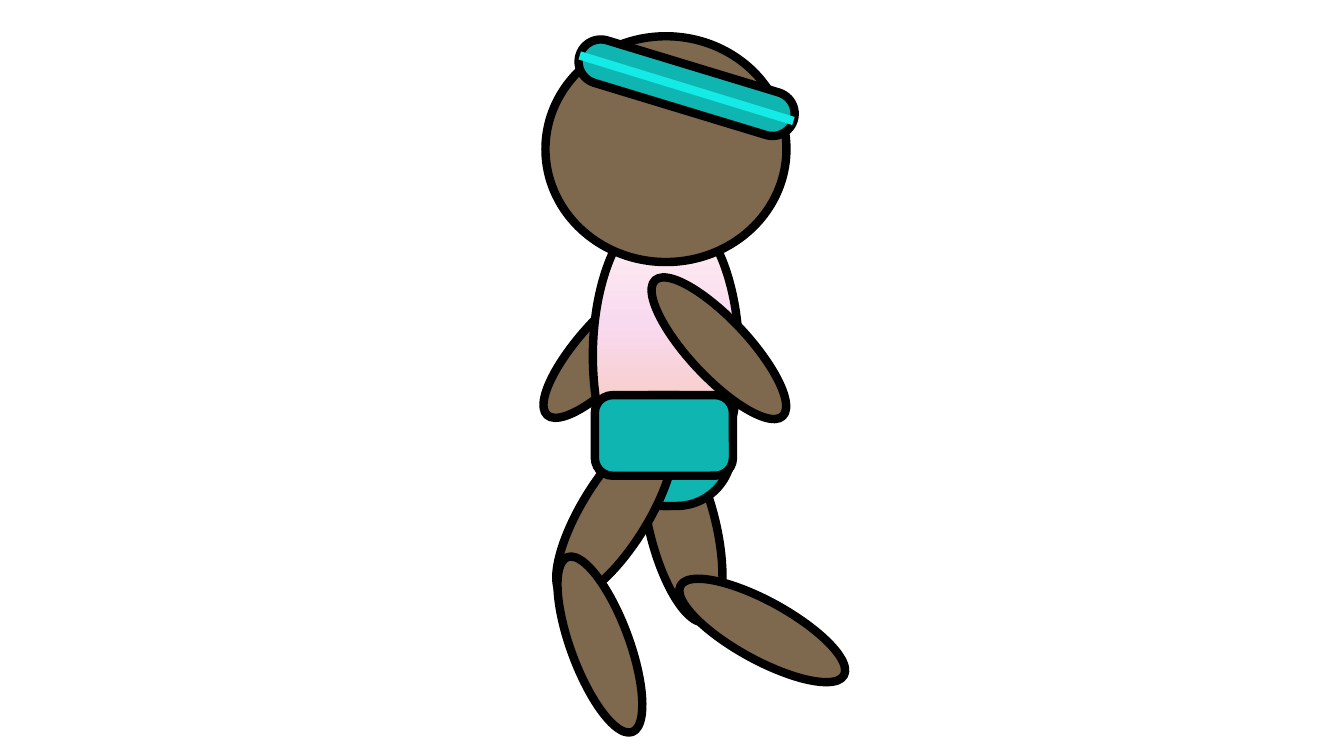
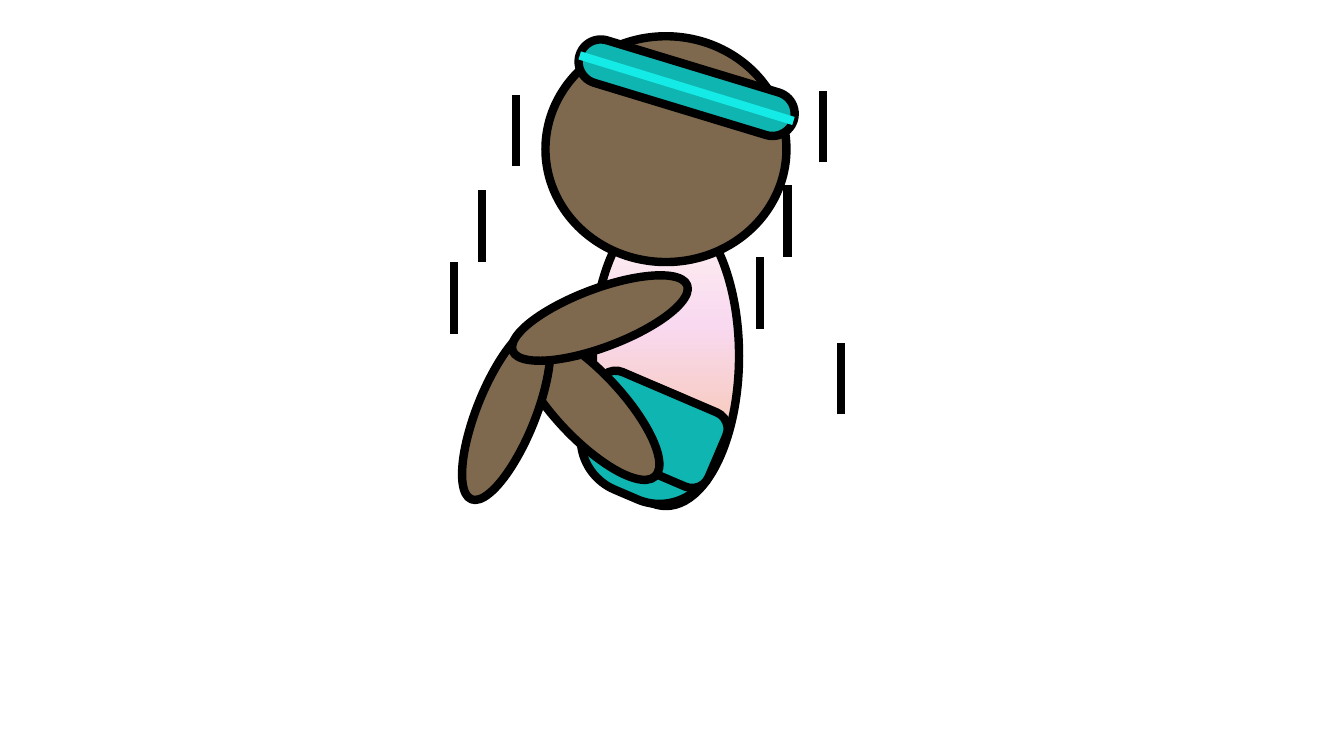
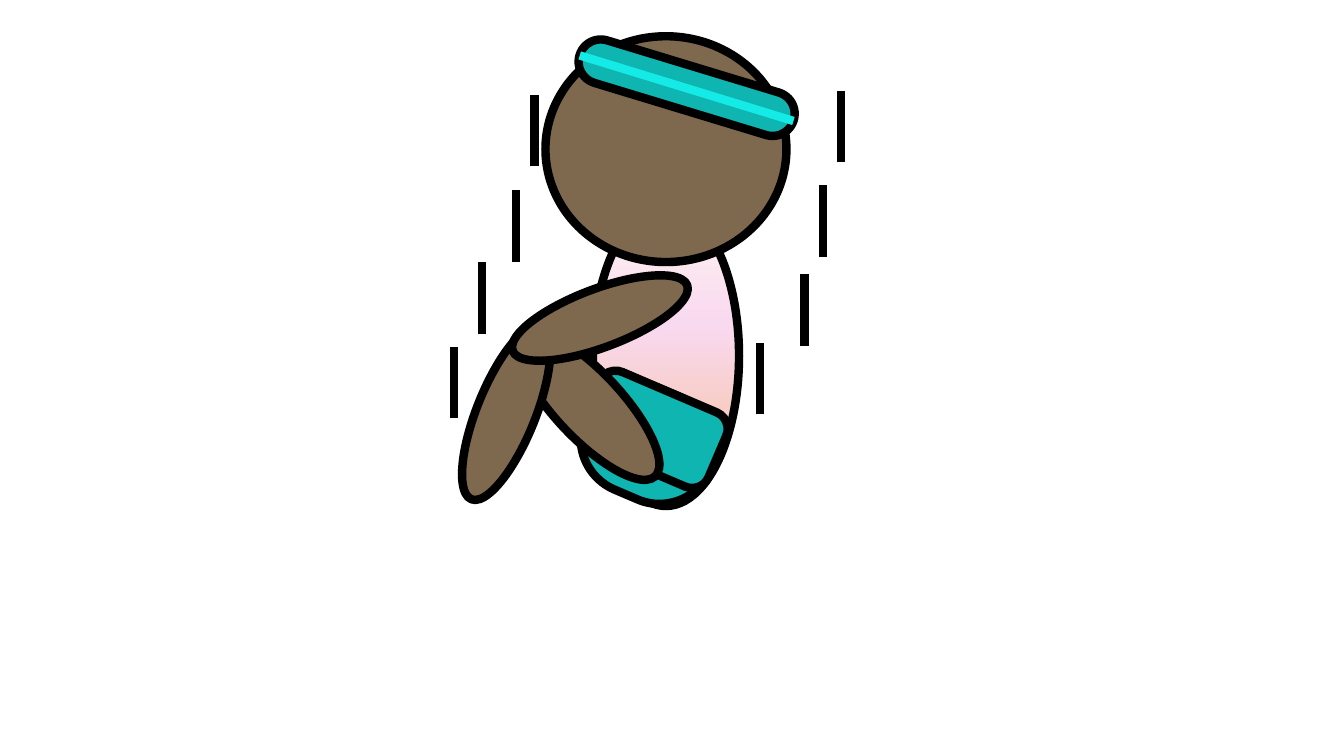
from lxml.etree import SubElement
from pptx import Presentation
from pptx.dml.color import RGBColor
from pptx.enum.shapes import MSO_CONNECTOR as Connector, MSO_SHAPE as Shape
from pptx.oxml.ns import qn
from pptx.util import Pt

# Style: 100 px to the inch
PX = 9144
BLACK = RGBColor(0x00, 0x00, 0x00)
SKIN = RGBColor(0x7E, 0x69, 0x4E)
TEAL = RGBColor(0x0F, 0xB5, 0xB1)
CYAN = RGBColor(0x15, 0xEB, 0xE6)
PALE = RGBColor(0xFE, 0xF5, 0xF0)
PINK = RGBColor(0xF9, 0xD9, 0xF0)
PEACH = RGBColor(0xF6, 0xC6, 0xAD)
SHIRT_STOPS = [(0, PALE), (40, PINK), (83, PEACH), (100, PEACH)]
OUTLINE = Pt(6)
SHIN_SIZE = (58, 185)  # also the arms
THIGH_SIZE = (66, 195)
DASH_LENGTH = 71


class Cartoon:
    """Holds the presentation and draws the athlete on the current slide."""

    def __init__(self):
        self.presentation = Presentation()
        self.presentation.slide_width = 1333 * PX
        self.presentation.slide_height = 750 * PX
        self.slide = None

    def new_slide(self):
        layout = self.presentation.slide_layouts[6]
        self.slide = self.presentation.slides.add_slide(layout)

    # Basic elements
    def outlined(self, kind, box, color, rotation=0, corner=None, group=None):
        shapes = (group or self.slide).shapes
        shape = shapes.add_shape(kind, *(length * PX for length in box))
        shape.rotation = rotation
        shape.shadow.inherit = False
        if corner is not None:
            shape.adjustments[0] = corner
        shape.fill.solid()
        shape.fill.fore_color.rgb = color
        shape.line.color.rgb = BLACK
        shape.line.width = OUTLINE
        return shape

    def line(self, start, end, color=BLACK):
        points = (length * PX for length in (*start, *end))
        connector = self.slide.shapes.add_connector(Connector.STRAIGHT, *points)
        connector.line.color.rgb = color
        connector.line.width = OUTLINE
        SubElement(connector._element.spPr, qn("a:effectLst"))

    # Body parts
    def limb(self, left, top, size, rotation):
        self.outlined(Shape.OVAL, (left, top, *size), SKIN, rotation)

    def torso(self):
        shape = self.outlined(Shape.OVAL, (588, 204, 145, 298), PALE)
        shape.fill.gradient()
        shape.fill.gradient_angle = 270
        stops = shape._element.spPr.find(qn("a:gradFill")).find(qn("a:gsLst"))
        for stop in list(stops):
            stops.remove(stop)
        for percent, color in SHIRT_STOPS:
            stop = SubElement(stops, qn("a:gs"), pos=str(percent * 1000))
            SubElement(stop, qn("a:srgbClr"), val=str(color))

    def shorts_seat(self, left, top, rotation=0, group=None):
        self.outlined(Shape.ROUNDED_RECTANGLE, (left, top, 135, 110), TEAL,
                      rotation, 0.5, group)

    def shorts_waist(self, left, top, rotation=0, group=None):
        self.outlined(Shape.ROUNDED_RECTANGLE, (left, top, 137, 80), TEAL,
                      rotation, 0.22, group)

    def head(self):
        self.outlined(Shape.OVAL, (541, 36, 239, 224), SKIN)

    def headband(self):
        self.outlined(Shape.ROUNDED_RECTANGLE, (570, 65, 222, 44), TEAL,
                      16.9, 0.5)
        self.line((575, 55), (787, 120), CYAN)

    # Poses
    def running(self):
        self.new_slide()
        self.limb(576, 251, SHIN_SIZE, 42.4)
        self.limb(644, 425, THIGH_SIZE, 346.2)
        self.limb(727, 533, SHIN_SIZE, 298.8)
        self.torso()
        self.shorts_seat(591, 392)
        self.limb(577, 411, THIGH_SIZE, 31.6)
        self.shorts_waist(590, 392)
        self.limb(566, 547, SHIN_SIZE, 339.7)
        self.head()
        self.limb(684, 253, SHIN_SIZE, 316.8)
        self.headband()

    def jumping(self, dashes):
        self.new_slide()
        self.torso()
        self.head()
        self.headband()
        shorts = self.slide.shapes.add_group_shape()
        self.shorts_seat(575, 385, 23.2, shorts)
        self.shorts_waist(580, 386, 23.2, shorts)
        self.limb(550, 304, THIGH_SIZE, 136.8)
        self.limb(473, 317, SHIN_SIZE, 21.9)
        self.limb(566, 223, SHIN_SIZE, 69.4)
        for x, top in dashes:
            self.line((x, top + DASH_LENGTH), (x, top))


def main():
    cartoon = Cartoon()
    cartoon.running()
    # Motion dashes: x and top
    cartoon.jumping([(450, 260), (478, 189), (512, 94), (754, 255),
                     (781, 184), (816, 90), (834, 340)])
    cartoon.jumping([(450, 344), (478, 260), (512, 189), (530, 94),
                     (754, 340), (816, 184), (834, 90), (798, 272)])
    cartoon.presentation.save("out.pptx")


if __name__ == "__main__":
    main()
